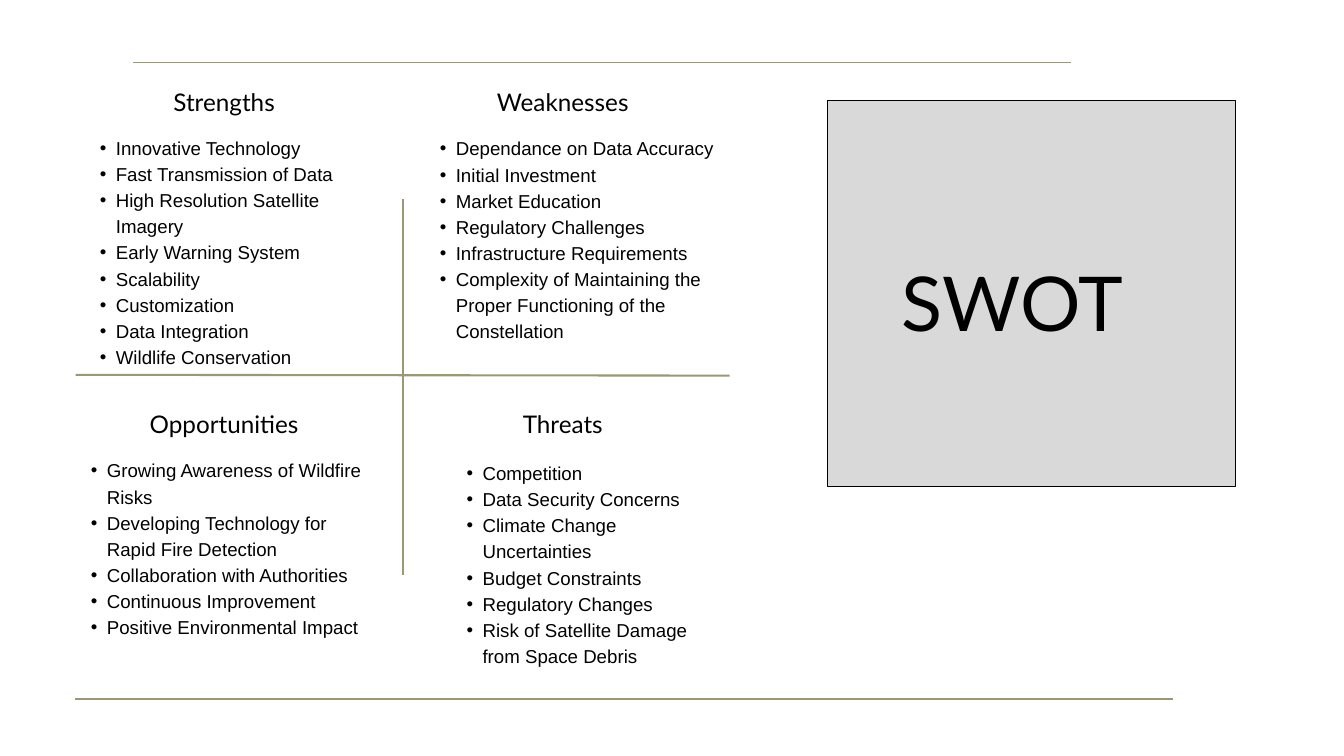
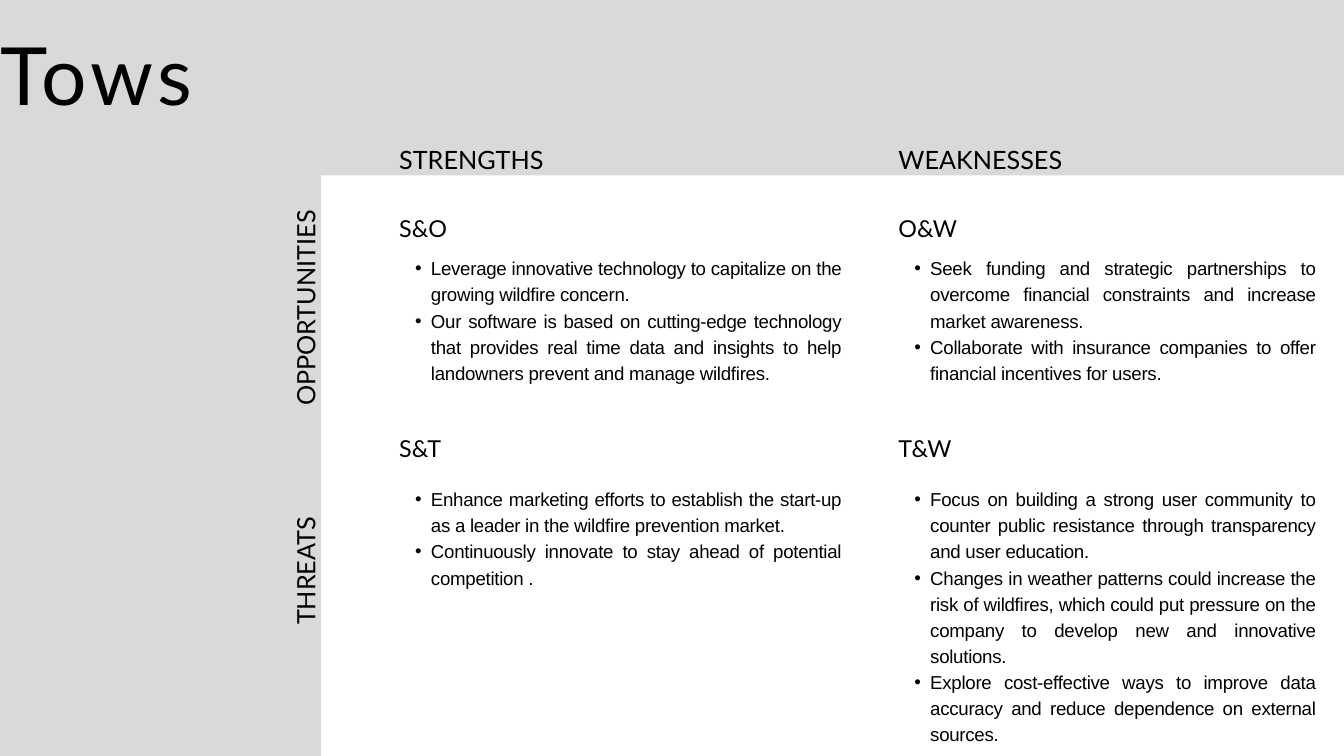
from dataclasses import dataclass

from lxml import etree
from pptx import Presentation
from pptx import util as u
from pptx.dml.color import RGBColor
from pptx.enum import shapes, text
from pptx.oxml.ns import qn

Cm, Pt = u.Cm, u.Pt
LEFT, MID, JUST = (text.PP_ALIGN.LEFT, text.PP_ALIGN.CENTER,
                   text.PP_ALIGN.JUSTIFY)


@dataclass(frozen=True)
class Theme:
    ink: RGBColor = RGBColor(0, 0, 0)
    gold: RGBColor = RGBColor(0x9E, 0x97, 0x74)
    gray: RGBColor = RGBColor(0xD9, 0xD9, 0xD9)
    head: str = "Lato"
    body: str = "Arial"
    swot: float = 81
    tows: float = 86
    quad: float = 26
    axis: float = 27
    cell: float = 25
    item: float = 20
    lead: float = 1.4
    wide: float = 50.8
    high: float = 28.58


T = Theme()

STRENGTHS = ["Innovative Technology", "Fast Transmission of Data",
             "High Resolution Satellite Imagery", "Early Warning System",
             "Scalability", "Customization", "Data Integration",
             "Wildlife Conservation"]
WEAKNESSES = ["Dependance on Data Accuracy", "Initial Investment",
              "Market Education", "Regulatory Challenges",
              "Infrastructure Requirements",
              "Complexity of Maintaining the Proper Functioning of the "
              "Constellation"]
CHANCES = ["Growing Awareness of Wildfire Risks",
           "Developing Technology for Rapid Fire Detection",
           "Collaboration with Authorities", "Continuous Improvement",
           "Positive Environmental Impact"]
THREATS = ["Competition", "Data Security Concerns",
           "Climate Change Uncertainties", "Budget Constraints",
           "Regulatory Changes", "Risk of Satellite Damage from Space Debris"]

SO = ["Leverage innovative technology to capitalize on the growing wildfire "
      "concern.",
      "Our software is based on cutting-edge technology that provides real "
      "time data and insights to help landowners prevent and manage "
      "wildfires."]
OW = ["Seek funding and strategic partnerships to overcome financial "
      "constraints and increase market awareness.",
      "Collaborate with insurance companies to offer financial incentives "
      "for users."]
ST = ["Enhance marketing efforts to establish the start-up as a leader in "
      "the wildfire prevention market.",
      "Continuously innovate to stay ahead of potential competition ."]
TW = ["Focus on building a strong user community to counter public "
      "resistance through transparency and user education.",
      "Changes in weather patterns could increase the risk of wildfires, "
      "which could put pressure on the company to develop new and "
      "innovative solutions.",
      "Explore cost-effective ways to improve data accuracy and reduce "
      "dependence on external sources."]


def bullet(para):
    props = para._p.get_or_add_pPr()
    props.set("marL", str(Cm(1.2)))
    props.set("indent", str(Cm(-0.6)))
    etree.SubElement(props, qn("a:buFont")).set("typeface", T.body)
    etree.SubElement(props, qn("a:buChar")).set("char", "•")


def write(shape, lines, size, font=T.head, align=LEFT, lead=T.lead,
          track=0, dots=False):
    """Fill a shape with one formatted paragraph per line."""
    frame = shape.text_frame
    frame.word_wrap = True
    frame.auto_size = text.MSO_AUTO_SIZE.NONE
    frame.vertical_anchor = text.MSO_ANCHOR.TOP
    frame.margin_left = frame.margin_right = 0
    frame.margin_top = frame.margin_bottom = 0
    for n, line in enumerate(lines):
        para = frame.add_paragraph() if n else frame.paragraphs[0]
        if dots:
            bullet(para)
        para.alignment = align
        para.line_spacing = Pt(size * lead)
        para.space_before = Pt(0)
        run = para.add_run()
        run.text = line
        run.font.name, run.font.size = font, Pt(size)
        run.font.color.rgb = T.ink
        if track:
            run._r.get_or_add_rPr().set("spc", str(round(track * 100)))


def label(slide, box, line, size, **form):
    shape = slide.shapes.add_textbox(*map(Cm, box))
    write(shape, [line], size, **form)
    return shape


def items(slide, box, lines, **form):
    shape = slide.shapes.add_textbox(*map(Cm, box))
    write(shape, lines, T.item, font=T.body, dots=True, **form)


def title(slide, box, line, size, **form):
    """Format the title and bring it in front of the panels."""
    shape = slide.shapes.title
    shape.left, shape.top, shape.width, shape.height = map(Cm, box)
    write(shape, [line], size, **form)
    tree = shape.element.getparent()
    tree.append(shape.element)


def panel(slide, box, edge=False):
    shape = slide.shapes.add_shape(shapes.MSO_SHAPE.RECTANGLE, *map(Cm, box))
    shape.shadow.inherit = False
    shape.fill.solid()
    shape.fill.fore_color.rgb = T.gray
    if edge:
        shape.line.color.rgb, shape.line.width = T.ink, Pt(1)
    else:
        shape.line.fill.background()


def rule(slide, ends, width):
    line = slide.shapes.add_connector(shapes.MSO_CONNECTOR.STRAIGHT,
                                      *map(Cm, ends))
    line.line.color.rgb, line.line.width = T.gold, Pt(width)
    etree.SubElement(line.element.spPr, qn("a:effectLst"))


def quad(slide, x, y, name, lines, shift, drop, wide=11.23):
    """A centred heading with its list, set off by shift and drop."""
    label(slide, (x, y, 10.95, 1.24), name, T.quad, align=MID)
    items(slide, (x + shift, y + drop, wide, 8), lines)


def cross(slide, x, y, wide, high):
    rule(slide, (x, y + high / 2 - 0.46, x + wide, y + high / 2 - 0.43), 2.25)
    rule(slide, (x + wide / 2, y + high, x + wide / 2, y), 2.25)


def swot(slide):
    cross(slide, 2.86, 7.52, 24.72, 14.22)
    rule(slide, (2.84, 26.42, 44.35, 26.42), 1.5)
    rule(slide, (5.03, 2.36, 40.49, 2.36), 1.5)
    left, top, side = 31.29, 3.81, 15.42
    panel(slide, (left, top, side, 14.58), edge=True)
    title(slide, (left + 2.8, top + 5.28, 16.15, 3.9), "SWOT", T.swot)
    cols, rows = (3, 15.8), (3.1, 15.29)
    quad(slide, cols[0], rows[0], "Strengths", STRENGTHS, 0.18, 1.93)
    quad(slide, cols[1], rows[0], "Weaknesses", WEAKNESSES, 0.23, 1.95)
    quad(slide, cols[0], rows[1], "Opportunities", CHANCES, -0.16, 1.93)
    quad(slide, cols[1], rows[1], "Threats", THREATS, 1.24, 2.03, wide=10.21)


def side(slide, mid, span, name):
    """An axis label that reads upwards, centred on height mid."""
    box = (11.66 - span / 2, mid - 0.5, span, 1)
    label(slide, box, name, T.axis, lead=1).rotation = 270


def cell(slide, x, y, wide, gap, name, lines):
    label(slide, (x, y, 9.17, 0.94), name, T.cell, lead=1)
    items(slide, (x, y + gap, wide, 5), lines, align=JUST, track=-0.3)


def tows(slide):
    panel(slide, (0, 0, T.wide, 6.63))
    panel(slide, (0, 6.17, 12.14, T.high - 6.17))
    title(slide, (0, 0.36, 11.66, 4.25), "Tows", T.tows, track=4.5)
    cols = [(15.09, 16.71, "STRENGTHS"), (33.96, 15.77, "WEAKNESSES")]
    rows = [(8.28, 1.3, [("S&O", SO), ("O&W", OW)]),
            (16.59, 1.72, [("S&T", ST), ("T&W", TW)])]
    for x, wide, name in cols:
        label(slide, (x, 5.66, 9.17, 1), name, T.axis, lead=1)
    for y, gap, cells in rows:
        for (x, wide, _), (name, lines) in zip(cols, cells):
            cell(slide, x, y, wide, gap, name, lines)
    side(slide, 10.99, 8.71, "OPPORTUNITIES")
    side(slide, 21.02, 5.21, "THREATS")


def main():
    deck = Presentation()
    deck.slide_width, deck.slide_height = Cm(T.wide), Cm(T.high)
    for build in (swot, tows):
        build(deck.slides.add_slide(deck.slide_layouts[5]))
    deck.save("out.pptx")


if __name__ == "__main__":
    main()
